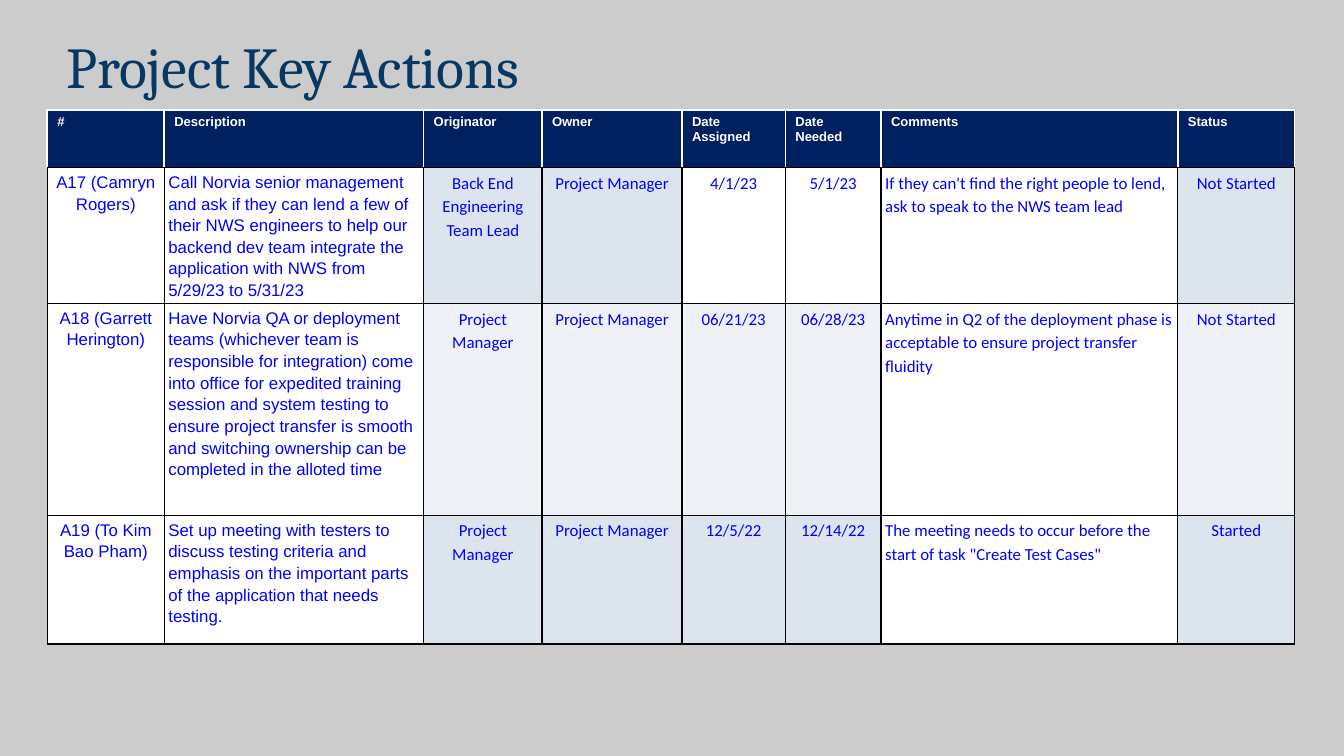
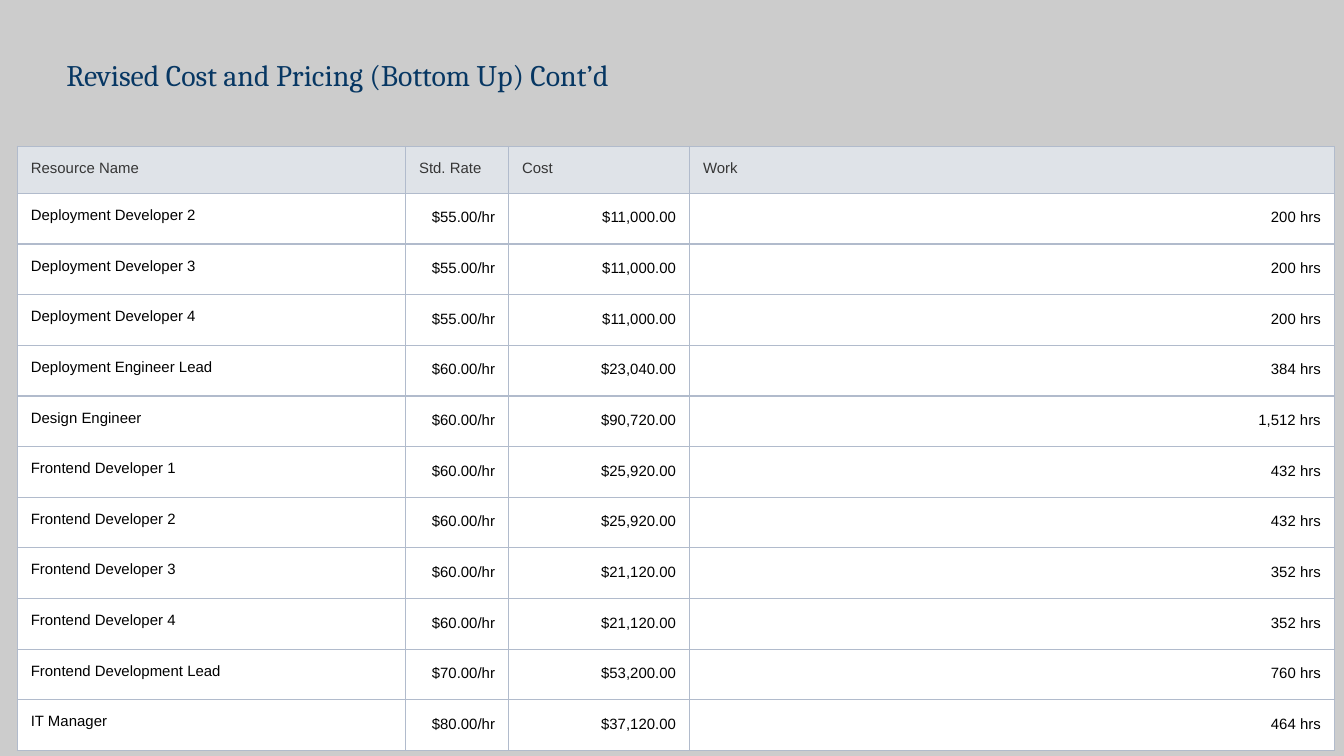
from lxml import etree
from pptx import Presentation
from pptx import util as u
from pptx.dml.color import RGBColor
from pptx.enum import text
from pptx.oxml.ns import qn

Pt = u.Pt
LEFT, CENTER, RIGHT = text.PP_ALIGN.LEFT, text.PP_ALIGN.CENTER, text.PP_ALIGN.RIGHT

BACKGROUND = "CCCCCC"
TITLE = "073763"
WHITE, BLACK = "FFFFFF", "000000"
NAVY, BLUE = "002060", "0000FF"
DARK_TINT, LIGHT_TINT = "DCE5EE", "EEF2F7"
GRID, HEADER_GRAY, HEADER_TEXT = "B1BBCC", "DFE3E8", "363636"

ACTION_HEADER = ["#", "Description", "Originator", "Owner", "Date Assigned",
                 "Date Needed", "Comments", "Status"]
ACTIONS = [
    ["A17 (Camryn Rogers)",
     "Call Norvia senior management and ask if they can lend a few of their NWS "
     "engineers to help our backend dev team integrate the application with NWS "
     "from 5/29/23 to 5/31/23",
     "Back End Engineering Team Lead", "Project Manager", "4/1/23", "5/1/23",
     "If they can't find the right people to lend, ask to speak to the NWS team lead",
     "Not Started"],
    ["A18 (Garrett Herington)",
     "Have Norvia QA or deployment teams (whichever team is responsible for "
     "integration) come into office for expedited training session and system "
     "testing to ensure project transfer is smooth and switching ownership can be "
     "completed in the alloted time",
     "Project Manager", "Project Manager", "06/21/23", "06/28/23",
     "Anytime in Q2 of the deployment phase is acceptable to ensure project "
     "transfer fluidity",
     "Not Started"],
    ["A19 (To Kim Bao Pham)",
     "Set up meeting with testers to discuss testing criteria and emphasis on the "
     "important parts of the application that needs testing.",
     "Project Manager", "Project Manager", "12/5/22", "12/14/22",
     "The meeting needs to occur before the start of task \"Create Test Cases\"",
     "Started"],
]
ACTION_TINTS = [DARK_TINT, LIGHT_TINT, DARK_TINT]
TEXT_COLUMNS = {1, 6}          # description and comments: left aligned
WHITE_COLUMNS = {0, 1, 6}
DATE_COLUMNS = {4, 5}

COST_HEADER = ["Resource Name", "Std. Rate", "Cost", "Work"]
COSTS = [
    ["Deployment Developer 2", "$55.00/hr", "$11,000.00", "200 hrs"],
    ["Deployment Developer 3", "$55.00/hr", "$11,000.00", "200 hrs"],
    ["Deployment Developer 4", "$55.00/hr", "$11,000.00", "200 hrs"],
    ["Deployment Engineer Lead", "$60.00/hr", "$23,040.00", "384 hrs"],
    ["Design Engineer", "$60.00/hr", "$90,720.00", "1,512 hrs"],
    ["Frontend Developer 1", "$60.00/hr", "$25,920.00", "432 hrs"],
    ["Frontend Developer 2", "$60.00/hr", "$25,920.00", "432 hrs"],
    ["Frontend Developer 3", "$60.00/hr", "$21,120.00", "352 hrs"],
    ["Frontend Developer 4", "$60.00/hr", "$21,120.00", "352 hrs"],
    ["Frontend Development Lead", "$70.00/hr", "$53,200.00", "760 hrs"],
    ["IT Manager", "$80.00/hr", "$37,120.00", "464 hrs"],
]


def rgb(hex_color):
    return RGBColor.from_string(hex_color)


def set_font(p, name, size, color, bold=False):
    p.font.name, p.font.size, p.font.bold = name, Pt(size), bold
    p.font.color.rgb = rgb(color)


def add_titled_slide(prs, title, box, size):
    s = prs.slides.add_slide(prs.slide_layouts[5])
    sp = s.shapes.title
    sp.left, sp.top, sp.width, sp.height = map(Pt, box)
    tf = sp.text_frame
    tf.text = title
    tf.auto_size = text.MSO_AUTO_SIZE.NONE
    tf.vertical_anchor = text.MSO_ANCHOR.MIDDLE
    tf.margin_left = tf.margin_right = Pt(4.5)
    tf.margin_top = tf.margin_bottom = 0
    p = tf.paragraphs[0]
    p.alignment = LEFT
    set_font(p, "Cambria", size, TITLE)
    return s


def add_plain_table(s, left, top, widths, heights):
    frame = s.shapes.add_table(len(heights), len(widths), Pt(left), Pt(top),
                               Pt(sum(widths)), Pt(sum(heights)))
    table = frame.table
    table.first_row = table.horz_banding = False
    for column, width in zip(table.columns, widths):
        column.width = Pt(width)
    for row, height in zip(table.rows, heights):
        row.height = Pt(height)
    return table


def set_borders(cell, sides):
    """Draw cell borders; sides maps L, R, T, B to (colour, width)."""
    tcPr = cell._tc.get_or_add_tcPr()
    for side in "LRTB":
        color, width = sides[side]
        ln = etree.SubElement(tcPr, qn(f"a:ln{side}"), w=str(Pt(width)))
        fill = etree.SubElement(ln, qn("a:solidFill"))
        etree.SubElement(fill, qn("a:srgbClr"), val=color)


def fill_cell(cell, content, fill, borders, margins, font, align=LEFT, spacing=None):
    set_borders(cell, borders)
    cell.fill.solid()
    cell.fill.fore_color.rgb = rgb(fill)
    cell.margin_left = cell.margin_right = Pt(margins[0])
    cell.margin_top = cell.margin_bottom = Pt(margins[1])
    cell.text = content
    p = cell.text_frame.paragraphs[0]
    p.alignment = align
    if spacing:
        p.line_spacing = spacing
    set_font(p, *font)


def add_actions_table(s):
    table = add_plain_table(s, 25.3, 58.8, [62.7, 139, 63.4, 75, 55.4, 51.3, 159, 62.6],
                            [31, 72.8, 113.5, 69])
    grid = dict.fromkeys("LRTB", (BLACK, 0.75))
    header_grid = {**dict.fromkeys("LRT", (WHITE, 1)), "B": grid["B"]}
    for c, label in enumerate(ACTION_HEADER):
        fill_cell(table.cell(0, c), label, NAVY, header_grid, (5.4, 2.7),
                  ("Arial", 7, WHITE, True))
    for r, (action, tint) in enumerate(zip(ACTIONS, ACTION_TINTS), 1):
        white = WHITE_COLUMNS | DATE_COLUMNS if r == 1 else WHITE_COLUMNS
        for c, content in enumerate(action):
            fill_cell(table.cell(r, c), content, WHITE if c in white else tint, grid,
                      (2.25, 1.5), ("Arial" if c < 2 else "Calibri", 9, BLUE),
                      LEFT if c in TEXT_COLUMNS else CENTER, 1.15)


def add_costs_table(s):
    table = add_plain_table(s, 9.3, 78.4, [208, 55.2, 97, 345.4],
                            [25.2] + [27.15] * len(COSTS))
    grid = dict.fromkeys("LRTB", (GRID, 0.75))
    margins = (7.2, 7.2)
    for c, label in enumerate(COST_HEADER):
        fill_cell(table.cell(0, c), label, HEADER_GRAY, grid, margins,
                  ("Arial", 8, HEADER_TEXT))
    for r, resource in enumerate(COSTS, 1):
        for c, content in enumerate(resource):
            align, spacing = (RIGHT, 1.15) if c else (LEFT, None)
            fill_cell(table.cell(r, c), content, WHITE, grid, margins,
                      ("Arial", 8, BLACK), align, spacing)


def main():
    prs = Presentation()
    prs.slide_width, prs.slide_height = Pt(720), Pt(405)
    background = prs.slide_master.background.fill
    background.solid()
    background.fore_color.rgb = rgb(BACKGROUND)

    s = add_titled_slide(prs, "Project Key Actions", (31, 11, 435, 48), 31)
    add_actions_table(s)

    s = add_titled_slide(prs, "Revised Cost and Pricing (Bottom Up) Cont’d",
                         (31, 14.5, 590, 50.5), 16)
    add_costs_table(s)
    prs.save("out.pptx")


if __name__ == "__main__":
    main()
